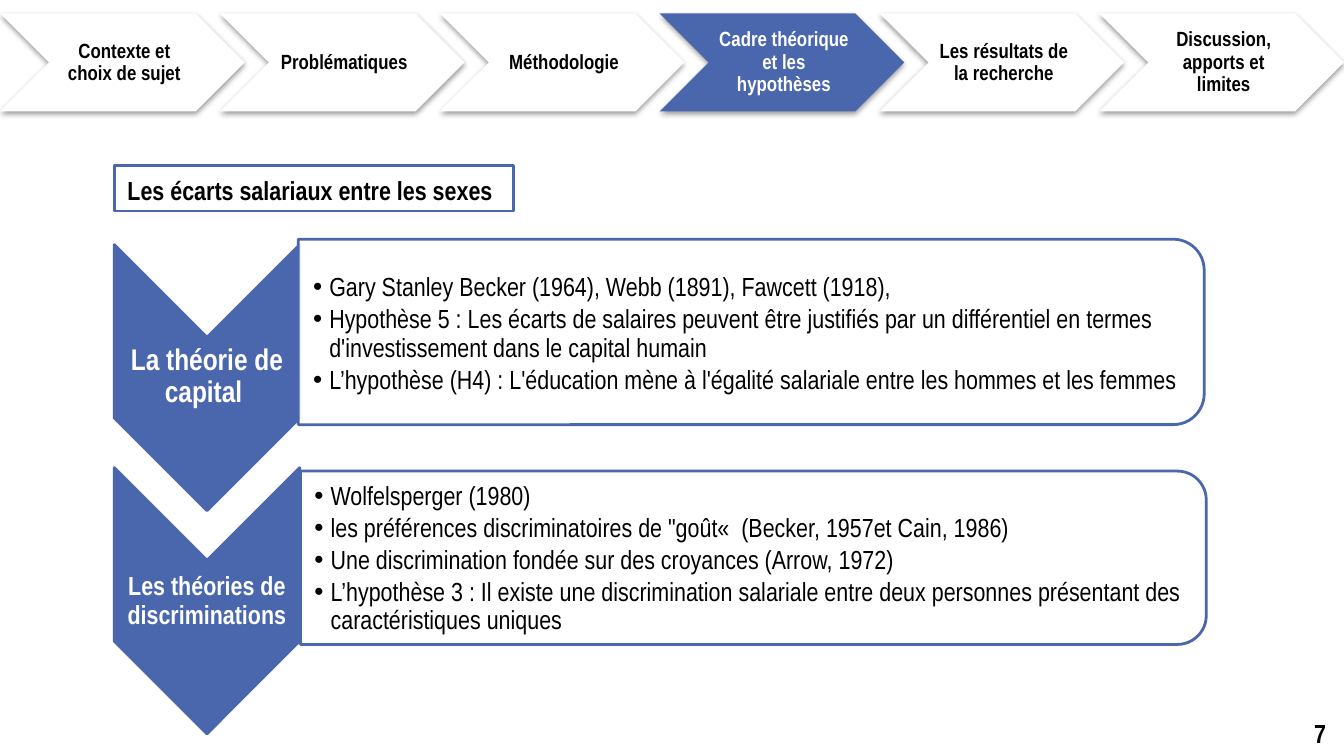
from dataclasses import dataclass

from lxml import etree
from pptx import Presentation
from pptx import util as u
from pptx.dml.color import RGBColor
from pptx.enum import shapes, text
from pptx.oxml import ns


@dataclass(frozen=True)
class Theme:
    """Colours, font and type sizes of the slide."""
    blue: str = "4A66AC"
    white: str = "FFFFFF"
    black: str = "000000"
    font: str = "Arial Narrow"
    step_size: int = 11
    body_size: int = 14
    theory_size: int = 16
    outline: float = 1.5


THEME = Theme()
SLIDE_WIDTH = 10
SLIDE_HEIGHT = SLIDE_WIDTH * 9 / 16
CHEVRON = shapes.MSO_SHAPE.CHEVRON
STEPS = [
    "Contexte et choix de sujet",
    "Problématiques",
    "Méthodologie",
    "Cadre théorique et les hypothèses",
    "Les résultats de la recherche",
    "Discussion, apports et limites",
]
CURRENT_STEP = 3
THEORIES = [
    {
        "label": "La théorie de capital ",
        "size": THEME.theory_size,
        "arrow": (0.55, 2.12, 1.98, 1.38),
        "label_box": (0.85, 2.51, 1.38, 0.59),
        "panel": (4.9, -0.9, 1.38, 6.74),
        "points_box": (2.22, 1.87, 6.68, 1.24),
        "points": [
            "Gary Stanley Becker (1964), Webb (1891), Fawcett (1918),",
            "Hypothèse 5 : Les écarts de salaires peuvent être justifiés par un "
            "différentiel en termes d'investissement dans le capital humain",
            "L’hypothèse (H4) : L'éducation mène à l'égalité salariale entre les "
            "hommes et les femmes",
        ],
    },
    {
        "label": "Les théories de discriminations",
        "size": THEME.body_size,
        "arrow": (0.55, 3.78, 1.98, 1.38),
        "label_box": (0.85, 4.18, 1.38, 0.59),
        "panel": (4.96, 0.78, 1.29, 6.74),
        "points_box": (2.23, 3.58, 6.68, 1.16),
        "points": [
            "Wolfelsperger (1980)",
            "les préférences discriminatoires de \"goût«  (Becker, 1957et Cain, 1986)",
            "Une discrimination fondée sur des croyances (Arrow, 1972)",
            "L’hypothèse 3 : Il existe une discrimination salariale entre deux "
            "personnes présentant des caractéristiques uniques",
        ],
    },
]


def apply_format(target, values):
    """Set every attribute named in values on target."""
    for name, value in values.items():
        setattr(target, name, value)


def add_element(parent, tag, **attributes):
    """Append a DrawingML element to parent and return it."""
    return etree.SubElement(parent, ns.qn(tag), attributes)


def add_figure(canvas, kind, box, fill=None, line=None, rotation=0):
    """Draw a preset shape with plain fill and outline."""
    shape = canvas.add_shape(kind, *map(u.Inches, box))
    shape.shadow.inherit = False
    shape.rotation = rotation
    if fill:
        shape.fill.solid()
        shape.fill.fore_color.rgb = RGBColor.from_string(fill)
    else:
        shape.fill.background()
    if line:
        shape.line.color.rgb = RGBColor.from_string(line)
        shape.line.width = u.Pt(THEME.outline)
    else:
        shape.line.fill.background()
    return shape


def add_soft_shadow(shape):
    """Give a shape a short shadow straight below it."""
    effects = shape._element.spPr.find(ns.qn("a:effectLst"))
    shadow = add_element(effects, "a:outerShdw", blurRad=str(u.Pt(3)),
                         dist=str(u.Pt(1.4)), dir="5400000", rotWithShape="0")
    color = add_element(shadow, "a:srgbClr", val=THEME.black)
    add_element(color, "a:alpha", val="40000")


def set_opacity(shape, percent):
    """Make the solid fill of a shape partly transparent."""
    color = shape._element.spPr.find(ns.qn("a:solidFill"))[0]
    add_element(color, "a:alpha", val=str(percent * 1000))


def add_bullet(paragraph):
    """Turn a paragraph into a bulleted one with a hanging indent."""
    paragraph.level = 1
    properties = paragraph._p.get_or_add_pPr()
    properties.set("marL", str(u.Inches(0.12)))
    properties.set("indent", str(u.Inches(-0.12)))
    add_element(add_element(properties, "a:buClr"), "a:srgbClr", val=THEME.black)
    add_element(properties, "a:buFont", typeface="Arial")
    add_element(properties, "a:buChar", char="•")


def add_text(canvas, box, lines, size, color=THEME.black, bold=True,
             bullets=False, insets=None, layout=None):
    """Write paragraphs in a wrapping text box."""
    frame = canvas.add_textbox(*map(u.Inches, box)).text_frame
    frame.word_wrap = True
    if insets:
        sides = ("margin_left", "margin_top", "margin_right", "margin_bottom")
        apply_format(frame, dict(zip(sides, map(u.Inches, insets))))
        frame.vertical_anchor = text.MSO_ANCHOR.MIDDLE
    for index, line in enumerate(lines):
        paragraph = frame.add_paragraph() if index else frame.paragraphs[0]
        if bullets:
            add_bullet(paragraph)
        apply_format(paragraph, layout or {})
        run = paragraph.add_run()
        run.text = line
        apply_format(run.font, {"name": THEME.font, "size": u.Pt(size), "bold": bold})
        run.font.color.rgb = RGBColor.from_string(color)


def add_label(canvas, box, label, size, color, insets):
    """Write a centred bold label."""
    add_text(canvas, box, [label], size, color, insets=insets,
             layout={"alignment": text.PP_ALIGN.CENTER, "line_spacing": 0.9})


def add_steps(slide):
    """Draw the row of chevrons with the current step filled."""
    canvas = slide.shapes.add_group_shape().shapes
    width, height, top = 1.82, 0.73, 0.1
    pitch = (SLIDE_WIDTH - width) / (len(STEPS) - 1)
    for index, step in enumerate(STEPS):
        current = index == CURRENT_STEP
        left = index * pitch
        fill = THEME.blue if current else THEME.white
        add_soft_shadow(add_figure(canvas, CHEVRON, (left, top, width, height), fill))
        add_label(canvas, (left + height / 2, top, width - height, height), step,
                  THEME.step_size, THEME.white if current else THEME.black,
                  (0.05, 0.02, 0.02, 0.02))


def add_theory(canvas, theory):
    """Draw a downward chevron beside its panel of points."""
    add_figure(canvas, CHEVRON, theory["arrow"], THEME.blue, THEME.blue, 90)
    add_label(canvas, theory["label_box"], theory["label"], theory["size"],
              THEME.white, (0.01,) * 4)
    panel = add_figure(canvas, shapes.MSO_SHAPE.ROUND_2_SAME_RECTANGLE,
                       theory["panel"], THEME.white, THEME.blue, 90)
    set_opacity(panel, 90)
    add_text(canvas, theory["points_box"], theory["points"], THEME.body_size,
             bold=False, bullets=True, insets=(0.11, 0.01, 0.01, 0.01),
             layout={"line_spacing": 0.9, "space_after": u.Pt(2.1)})


def main():
    """Build the slide and save it."""
    presentation = Presentation()
    apply_format(presentation, {"slide_width": u.Inches(SLIDE_WIDTH),
                                "slide_height": u.Inches(SLIDE_HEIGHT)})
    slide = presentation.slides.add_slide(presentation.slide_layouts[6])
    theories = slide.shapes.add_group_shape().shapes
    for theory in THEORIES:
        add_theory(theories, theory)
    add_text(slide.shapes, (0.85, 1.25, 2.97, 0.34),
             ["Les écarts salariaux entre les sexes"], THEME.body_size)
    add_figure(slide.shapes, shapes.MSO_SHAPE.RECTANGLE, (0.85, 1.23, 2.97, 0.34),
               line=THEME.blue)
    add_steps(slide)
    add_text(slide.shapes, (9.68, 5.29, 0.32, 0.34), ["7"], THEME.body_size)
    presentation.save("out.pptx")


if __name__ == "__main__":
    main()
